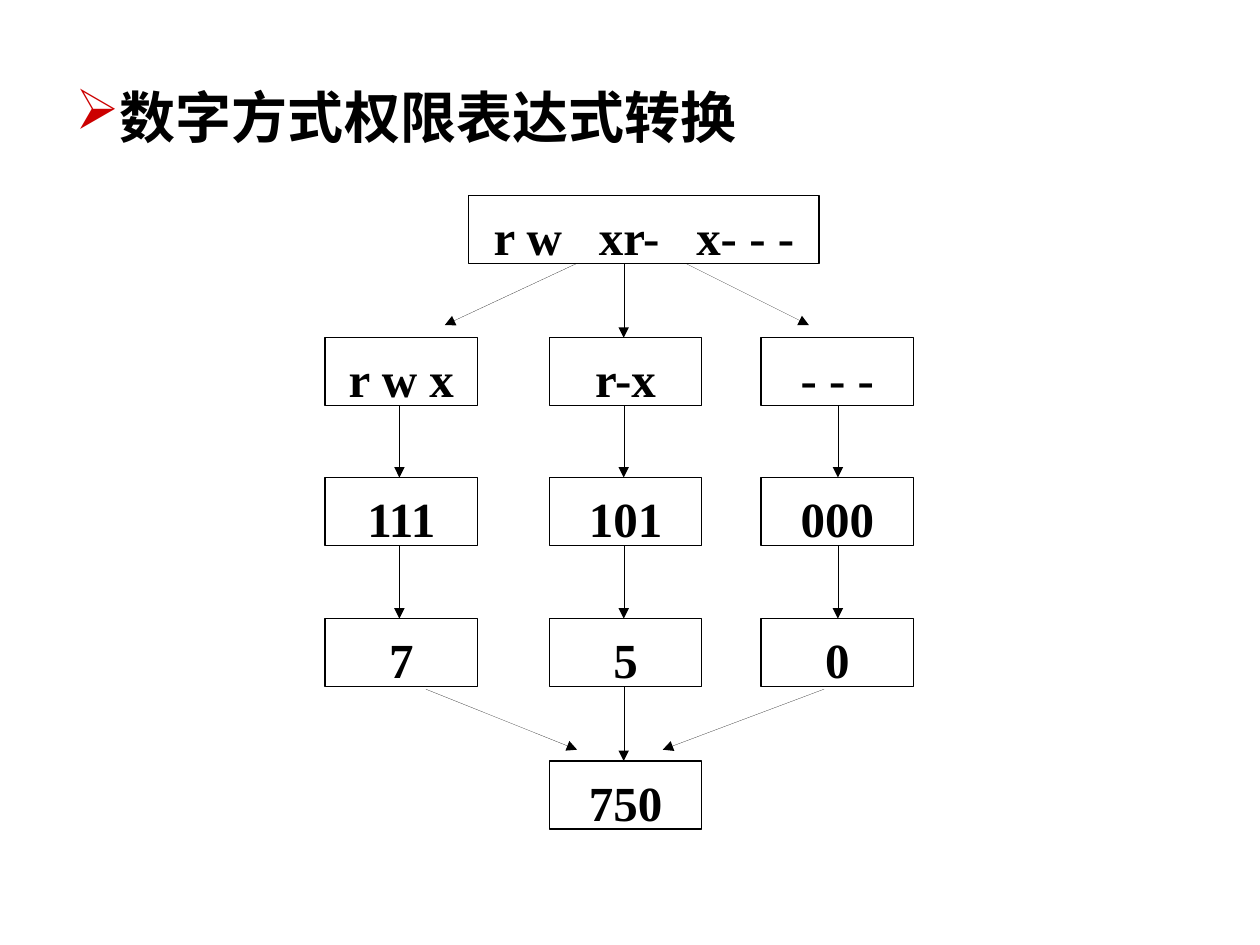
"""Build the slide on converting permission expressions to numbers."""
from lxml.etree import SubElement
from pptx import Presentation
from pptx.dml.color import RGBColor
from pptx.enum.shapes import MSO_CONNECTOR, MSO_SHAPE
from pptx.enum.text import MSO_ANCHOR, PP_ALIGN
from pptx.oxml.ns import qn
from pptx.util import Inches, Pt

TITLE = "数字方式权限表达式转换"
SOURCE = ("r w", "xr-", "x- - -")
RESULT = "750"
COLUMNS = [
    (2.58, 3.17, ("r w x", "111", "7")),
    (4.36, 4.95, ("r-x", "101", "5")),
    (6.04, 6.65, ("- - -", "000", "0")),
]
ROW_TOPS = (2.68, 3.79, 4.91)
SOURCE_TOP, RESULT_TOP = 1.55, 6.04
SOURCE_LEFT, SOURCE_W = 3.72, 2.78
RESULT_LEFT, MIDDLE_X = COLUMNS[1][:2]
BOX_W, BOX_H = 1.21, 0.54
DIAGONALS = [
    (4.58, 2.09, 3.53, 2.58),
    (5.44, 2.09, 6.42, 2.58),
    (3.38, 5.47, 4.58, 5.95),
    (6.54, 5.47, 5.26, 5.95),
]


def color(value):
    """Turn a hex string into a colour."""
    return RGBColor.from_string(value)


def add_text(p, text, size=28, font="Times New Roman", spacing=0):
    """Add one bold black run to a paragraph."""
    r = p.add_run()
    r.text = text
    r.font.size = Pt(size)
    r.font.bold = True
    r.font.name = font
    r.font.color.rgb = color("000000")
    rPr = r.font._element
    SubElement(rPr, qn("a:ea")).set("typeface", font)
    if spacing:
        rPr.set("spc", str(spacing * 100))


def add_title(s, text):
    """Add the bulleted heading."""
    tf = s.shapes.add_textbox(Inches(0.5), Inches(0.3), Inches(9), Inches(1.25)).text_frame
    tf.word_wrap = True
    tf.vertical_anchor = MSO_ANCHOR.MIDDLE
    p = tf.paragraphs[0]
    pPr = p._p.get_or_add_pPr()
    pPr.set("marL", "0")
    pPr.set("indent", "0")
    SubElement(SubElement(pPr, qn("a:buClr")), qn("a:srgbClr")).set("val", "CC0000")
    SubElement(pPr, qn("a:buChar")).set("char", "➢")
    add_text(p, text, size=32, font="Noto Sans CJK SC")


def add_box(s, left, top, parts, width=BOX_W):
    """Add an outlined box, with wide gaps between the parts of its text."""
    sp = s.shapes.add_shape(
        MSO_SHAPE.RECTANGLE, Inches(left), Inches(top), Inches(width), Inches(BOX_H))
    sp.shadow.inherit = False
    sp.fill.solid()
    sp.fill.fore_color.rgb = color("FFFFFF")
    sp.line.color.rgb = color("000000")
    sp.line.width = Pt(0.75)
    tf = sp.text_frame
    tf.word_wrap = True
    tf.vertical_anchor = MSO_ANCHOR.TOP
    tf.margin_top, tf.margin_bottom = Inches(0.09), 0
    p = tf.paragraphs[0]
    p.alignment = PP_ALIGN.CENTER
    for i, part in enumerate(parts):
        if i:
            add_text(p, " ", spacing=14)
        add_text(p, part)


def add_arrow(s, x1, y1, x2, y2):
    """Add a hairline arrow."""
    cxn = s.shapes.add_connector(
        MSO_CONNECTOR.STRAIGHT, Inches(x1), Inches(y1), Inches(x2), Inches(y2))
    cxn.line.color.rgb = color("000000")
    cxn.line.width = Pt(0.01)
    SubElement(cxn.line._get_or_add_ln(), qn("a:tailEnd")).set("type", "triangle")
    SubElement(cxn._element.spPr, qn("a:effectLst"))


def main():
    """Lay out the heading, boxes and arrows."""
    prs = Presentation()
    prs.slide_width, prs.slide_height = Inches(10), Inches(7.5)
    s = prs.slides.add_slide(prs.slide_layouts[6])
    add_title(s, TITLE)
    add_box(s, SOURCE_LEFT, SOURCE_TOP, SOURCE, width=SOURCE_W)
    for left, _, values in COLUMNS:
        for top, value in zip(ROW_TOPS, values):
            add_box(s, left, top, [value])
    add_box(s, RESULT_LEFT, RESULT_TOP, [RESULT])
    for _, x, _ in COLUMNS:
        tops = (SOURCE_TOP, *ROW_TOPS, RESULT_TOP) if x == MIDDLE_X else ROW_TOPS
        for top, below in zip(tops, tops[1:]):
            add_arrow(s, x, top + BOX_H, x, below)
    for ends in DIAGONALS:
        add_arrow(s, *ends)
    prs.save("out.pptx")


if __name__ == "__main__":
    main()
